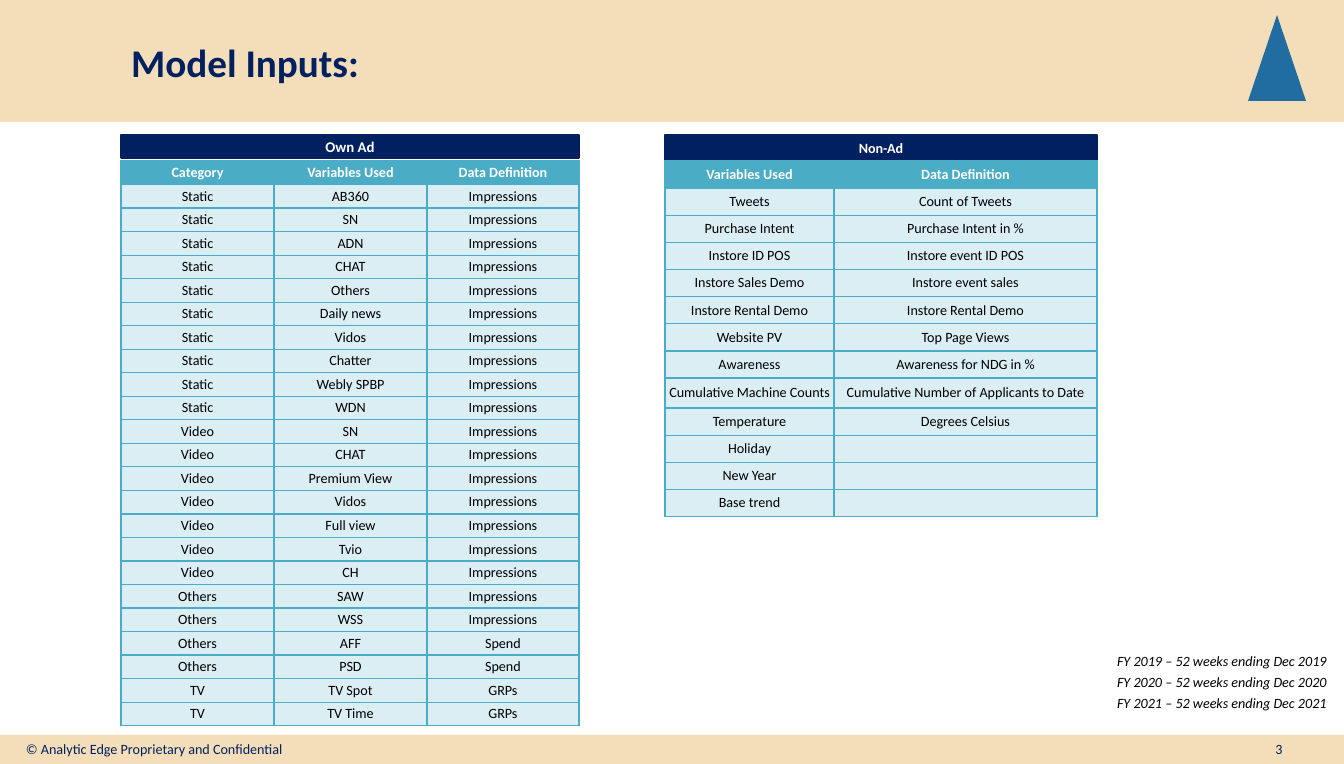
"""Build the Model Inputs slide with its advertising and non-advertising variable tables."""
from dataclasses import dataclass, field

from lxml.etree import SubElement
from pptx import Presentation
from pptx.dml.color import RGBColor
from pptx.enum.shapes import MSO_SHAPE
from pptx.enum.text import MSO_ANCHOR, PP_ALIGN
from pptx.oxml.ns import qn
from pptx.shapes.autoshape import Shape
from pptx.slide import Slide
from pptx.table import _Cell
from pptx.text.text import TextFrame
from pptx.util import Emu, Pt

EMU_PER_PX = 914400 / 101.8
FONT = "Calibri"
NAVY = RGBColor(0x00, 0x20, 0x60)
SAND = RGBColor(0xF4, 0xDE, 0xB9)
TEAL = RGBColor(0x4B, 0xAC, 0xC6)
PALE_TEAL = RGBColor(0xDB, 0xEE, 0xF4)
BLUE = RGBColor(0x21, 0x6C, 0xA0)
WHITE = RGBColor(0xFF, 0xFF, 0xFF)
BLACK = RGBColor(0x00, 0x00, 0x00)


@dataclass(frozen=True)
class Box:
    left: int
    top: int
    width: int
    height: int

    def emu(self) -> tuple[Emu, Emu, Emu, Emu]:
        return px(self.left), px(self.top), px(self.width), px(self.height)


@dataclass(frozen=True)
class TextStyle:
    color: RGBColor
    size: float = 10
    bold: bool = False
    italic: bool = False
    align: PP_ALIGN = PP_ALIGN.LEFT


@dataclass(frozen=True)
class InputTable:
    heading: str
    heading_height: int
    heading_size: float
    box: Box
    columns: tuple[int, ...]
    side_margin: int
    end_margin: int
    rows: list[tuple[str, ...]]
    tall_rows: dict[int, int] = field(default_factory=dict)


HEADER_STYLE = TextStyle(WHITE, bold=True, align=PP_ALIGN.CENTER)
CELL_STYLE = TextStyle(BLACK, align=PP_ALIGN.CENTER)

OWN_AD_GROUPS = [
    ("Static", "Impressions", ["AB360", "SN", "ADN", "CHAT", "Others", "Daily news",
                               "Vidos", "Chatter", "Webly SPBP", "WDN"]),
    ("Video", "Impressions", ["SN", "CHAT", "Premium View", "Vidos", "Full view", "Tvio", "CH"]),
    ("Others", "Impressions", ["SAW", "WSS"]),
    ("Others", "Spend", ["AFF", "PSD"]),
    ("TV", "GRPs", ["TV Spot", "TV Time"]),
]
OWN_AD = InputTable(
    "Own Ad", 23, 10.5, Box(121, 161, 458, 565), (153, 153, 152), 10, 2,
    [("Category", "Variables Used", "Data Definition")]
    + [(category, variable, definition)
       for category, definition, variables in OWN_AD_GROUPS for variable in variables],
)
NON_AD = InputTable(
    "Non-Ad", 25, 10, Box(665, 161, 432, 356), (169, 263), 0, 3,
    [
        ("Variables Used", "Data Definition"),
        ("Tweets", "Count of Tweets"),
        ("Purchase Intent", "Purchase Intent in %"),
        ("Instore ID POS", "Instore event ID POS"),
        ("Instore Sales Demo", "Instore event sales"),
        ("Instore Rental Demo", "Instore Rental Demo"),
        ("Website PV", "Top Page Views"),
        ("Awareness", "Awareness for NDG in %"),
        ("Cumulative Machine Counts", "Cumulative Number of Applicants to Date"),
        ("Temperature", "Degrees Celsius"),
        ("Holiday", ""),
        ("New Year", ""),
        ("Base trend", ""),
    ],
    {8: 30},
)


def px(length: float) -> Emu:
    return Emu(round(length * EMU_PER_PX))


def write(frame: TextFrame, text: str, style: TextStyle) -> None:
    frame.text = text
    for paragraph in frame.paragraphs:
        paragraph.alignment = style.align
        for run in paragraph.runs:
            run.font.name = FONT
            run.font.size = Pt(style.size)
            run.font.bold = style.bold
            run.font.italic = style.italic
            run.font.color.rgb = style.color


def add_filled_shape(slide: Slide, kind: MSO_SHAPE, box: Box, color: RGBColor) -> Shape:
    shape = slide.shapes.add_shape(kind, *box.emu())
    shape.shadow.inherit = False
    shape.fill.solid()
    shape.fill.fore_color.rgb = color
    shape.line.fill.background()
    return shape


def add_text(slide: Slide, box: Box, text: str, style: TextStyle) -> TextFrame:
    frame = slide.shapes.add_textbox(*box.emu()).text_frame
    frame.word_wrap = True
    write(frame, text, style)
    return frame


def add_borders(cell: _Cell, color: RGBColor) -> None:
    properties = cell._tc.get_or_add_tcPr()
    for side in ("a:lnL", "a:lnR", "a:lnT", "a:lnB"):
        line = SubElement(properties, qn(side), w=str(Pt(1)))
        fill = SubElement(line, qn("a:solidFill"))
        SubElement(fill, qn("a:srgbClr"), val=str(color))


def format_cell(cell: _Cell, text: str, is_header: bool, table: InputTable) -> None:
    style = HEADER_STYLE if is_header else CELL_STYLE
    write(cell.text_frame, text, style)
    if not text:
        SubElement(cell.text_frame.paragraphs[0]._p, qn("a:endParaRPr"), sz=str(style.size * 100))
    cell.vertical_anchor = MSO_ANCHOR.MIDDLE
    cell.margin_left = cell.margin_right = px(table.side_margin)
    cell.margin_top = cell.margin_bottom = px(table.end_margin)
    add_borders(cell, TEAL)
    cell.fill.solid()
    cell.fill.fore_color.rgb = TEAL if is_header else PALE_TEAL


def add_input_table(slide: Slide, table: InputTable) -> None:
    box = table.box
    heading_box = Box(box.left, 135, box.width, table.heading_height)
    heading = add_filled_shape(slide, MSO_SHAPE.RECTANGLE, heading_box, NAVY)
    heading.line.color.rgb = NAVY
    heading.line.width = Pt(2)
    heading.text_frame.vertical_anchor = MSO_ANCHOR.MIDDLE
    heading_style = TextStyle(WHITE, table.heading_size, bold=True, align=PP_ALIGN.CENTER)
    write(heading.text_frame, table.heading, heading_style)

    grid = slide.shapes.add_table(len(table.rows), len(table.columns), *box.emu()).table
    for column, width in zip(grid.columns, table.columns):
        column.width = px(width)
    regular_count = len(table.rows) - len(table.tall_rows)
    regular_height = (box.height - sum(table.tall_rows.values())) / regular_count
    for index, texts in enumerate(table.rows):
        grid.rows[index].height = px(table.tall_rows.get(index, regular_height))
        for cell, text in zip(grid.rows[index].cells, texts):
            format_cell(cell, text, index == 0, table)


def add_title(slide: Slide) -> None:
    title = slide.shapes.title
    title.element.getparent().append(title.element)
    title.left, title.top, title.width, title.height = Box(121, 18, 1105, 88).emu()
    title.text_frame.vertical_anchor = MSO_ANCHOR.MIDDLE
    write(title.text_frame, "Model Inputs:", TextStyle(NAVY, 27.7, bold=True))


def main() -> None:
    presentation = Presentation()
    presentation.slide_width, presentation.slide_height = px(1344), px(764)
    slide = presentation.slides.add_slide(presentation.slide_layouts[5])

    for band in (Box(0, 0, 1344, 122), Box(0, 735, 1344, 29)):
        add_filled_shape(slide, MSO_SHAPE.RECTANGLE, band, SAND)
    add_filled_shape(slide, MSO_SHAPE.ISOSCELES_TRIANGLE, Box(1248, 15, 58, 86), BLUE)
    add_title(slide)
    for table in (NON_AD, OWN_AD):
        add_input_table(slide, table)

    years = "\n".join(f"FY {year} – 52 weeks ending Dec {year}" for year in (2019, 2020, 2021))
    notes = add_text(slide, Box(1107, 624, 237, 115), years, TextStyle(BLACK, italic=True))
    notes.vertical_anchor = MSO_ANCHOR.MIDDLE
    for paragraph in notes.paragraphs[1:]:
        paragraph.space_before = Pt(2.9)
    add_text(slide, Box(16, 735, 282, 41), "© Analytic Edge Proprietary and Confidential", TextStyle(NAVY))
    add_text(slide, Box(1247, 735, 64, 41), "3", TextStyle(NAVY, align=PP_ALIGN.CENTER))
    presentation.save("out.pptx")


if __name__ == "__main__":
    main()
